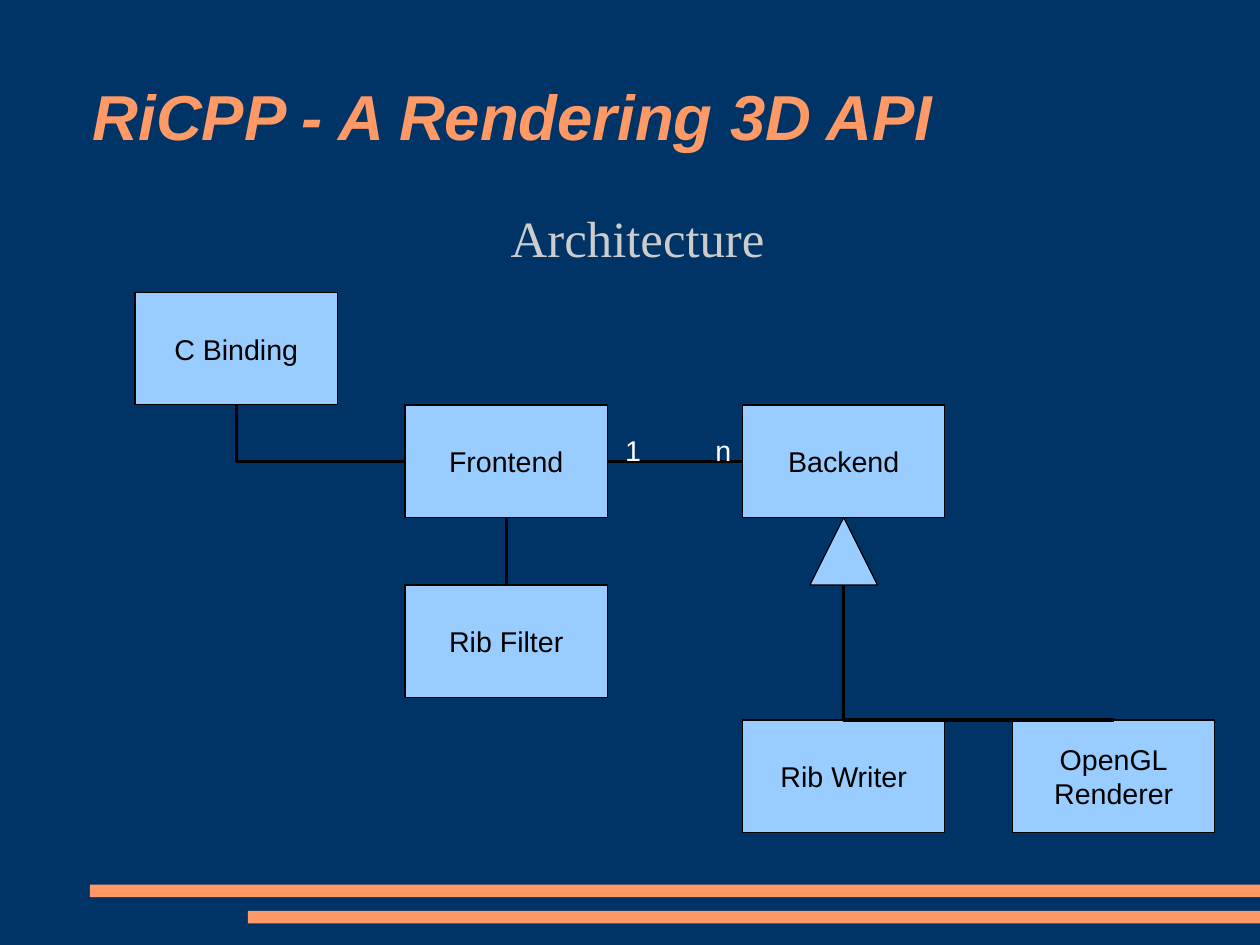
"""Build the architecture slide of the RiCPP talk."""
import pptx
import pptx.util
import pptx.dml.color
import pptx.enum.shapes
import pptx.enum.text
import pptx.oxml.ns
from lxml import etree

Cm, Pt = pptx.util.Cm, pptx.util.Pt
KIND = pptx.enum.shapes.MSO_SHAPE
LINK = pptx.enum.shapes.MSO_CONNECTOR
ALIGN = pptx.enum.text.PP_ALIGN
ANCHOR = pptx.enum.text.MSO_ANCHOR
qn = pptx.oxml.ns.qn

WIDE, HIGH = 28, 21
NAVY, ORANGE, SKY = "003366", "FF9966", "99CCFF"
BLACK, WHITE, GREY = "000000", "FFFFFF", "CCCCCC"
TOP, LEFT, BOTTOM, RIGHT = range(4)

TITLE = "RiCPP - A Rendering 3D API"
HEAD = "Architecture"
BOX_W, BOX_H = 4.5, 2.5
BOXES = {
    "Frontend": (9, 9),
    "C Binding": (3, 6.5),
    "Backend": (16.5, 9),
    "Rib Writer": (16.5, 16),
    "OpenGL\nRenderer": (22.5, 16),
    "Rib Filter": (9, 13),
}
ARROW, TIP = "Arrow", 1.5
STRAIGHT = [
    (ARROW, BOTTOM, "Rib Writer", TOP),
    ("Rib Filter", TOP, "Frontend", BOTTOM),
    ("Frontend", RIGHT, "Backend", LEFT),
]
BENT = [
    ("OpenGL\nRenderer", TOP, ARROW, BOTTOM),
    ("Frontend", LEFT, "C Binding", BOTTOM),
]
COUNTS = [("1", 13.64), ("n", 15.65)]
BARS = [(2, 19.66), (5.51, 20.24)]
BAR_H = 0.28


def color(code):
    return pptx.dml.color.RGBColor.from_string(code)


def write(shape, text, size=18, font="Arial", ink=BLACK, align=ALIGN.CENTER,
          anchor=ANCHOR.MIDDLE, bold=False, slant=False, wrap=True, inset=None):
    frame = shape.text_frame
    frame.text = text
    frame.word_wrap = wrap
    frame.vertical_anchor = anchor
    if inset is not None:
        frame.margin_left = frame.margin_right = Cm(inset)
        frame.margin_top = frame.margin_bottom = Cm(inset)
    for par in frame.paragraphs:
        par.alignment = align
        face = par.font
        face.name, face.size = font, Pt(size)
        face.bold, face.italic = bold, slant
        face.color.rgb = color(ink)


def draw(slide, kind, x, y, w, h, fill, edge=None):
    shape = slide.shapes.add_shape(kind, Cm(x), Cm(y), Cm(w), Cm(h))
    shape.shadow.inherit = False
    shape.fill.solid()
    shape.fill.fore_color.rgb = color(fill)
    if edge:
        shape.line.color.rgb = color(edge)
        shape.line.width = Pt(0)
    else:
        shape.line.fill.background()
    return shape


def side(shape, site):
    x, y = shape.left + shape.width // 2, shape.top + shape.height // 2
    return {
        TOP: (x, shape.top),
        LEFT: (shape.left, y),
        BOTTOM: (x, shape.top + shape.height),
        RIGHT: (shape.left + shape.width, y),
    }[site]


def join(slide, kind, start, out, goal, into):
    line = slide.shapes.add_connector(kind, *side(start, out), *side(goal, into))
    line.line.color.rgb = color(BLACK)
    line.line.width = Pt(0)
    props = line._element.spPr
    etree.SubElement(props, qn("a:effectLst"))
    if kind == LINK.STRAIGHT:
        line.begin_connect(start, out)
        line.end_connect(goal, into)
    else:
        props.find(qn("a:prstGeom")).set("prst", "bentConnector2")


def main():
    deck = pptx.Presentation()
    deck.slide_width, deck.slide_height = Cm(WIDE), Cm(HIGH)
    slide = deck.slides.add_slide(deck.slide_layouts[5])
    slide.background.fill.solid()
    slide.background.fill.fore_color.rgb = color(NAVY)

    for x, y in BARS:
        draw(slide, KIND.RECTANGLE, x, y, WIDE - x, BAR_H, ORANGE)

    title = slide.shapes.title
    title.left, title.top = Cm(2.06), Cm(0.8)
    title.width, title.height = Cm(23.9), Cm(3.5)
    write(title, TITLE, size=40, ink=ORANGE, align=ALIGN.LEFT,
          bold=True, slant=True, inset=0)
    head = slide.shapes.add_textbox(Cm(2), Cm(4.5), Cm(24.35), Cm(1.55))
    write(head, HEAD, size=32, font="Times New Roman", ink=GREY, inset=0)

    nodes = {}
    for name, (x, y) in BOXES.items():
        nodes[name] = draw(slide, KIND.RECTANGLE, x, y, BOX_W, BOX_H, SKY, BLACK)
        write(nodes[name], name)
    x, y = BOXES["Backend"]
    nodes[ARROW] = draw(slide, KIND.FLOWCHART_EXTRACT, x + (BOX_W - TIP) / 2,
                        y + BOX_H, TIP, TIP, SKY, BLACK)

    for kind, links in ((LINK.STRAIGHT, STRAIGHT), (LINK.ELBOW, BENT)):
        for start, out, goal, into in links:
            join(slide, kind, nodes[start], out, nodes[goal], into)

    for text, x in COUNTS:
        label = slide.shapes.add_textbox(Cm(x), Cm(9.5), Cm(0.86), Cm(1))
        write(label, text, ink=WHITE, align=ALIGN.LEFT, anchor=ANCHOR.TOP, wrap=False)

    deck.save("out.pptx")


if __name__ == "__main__":
    main()
